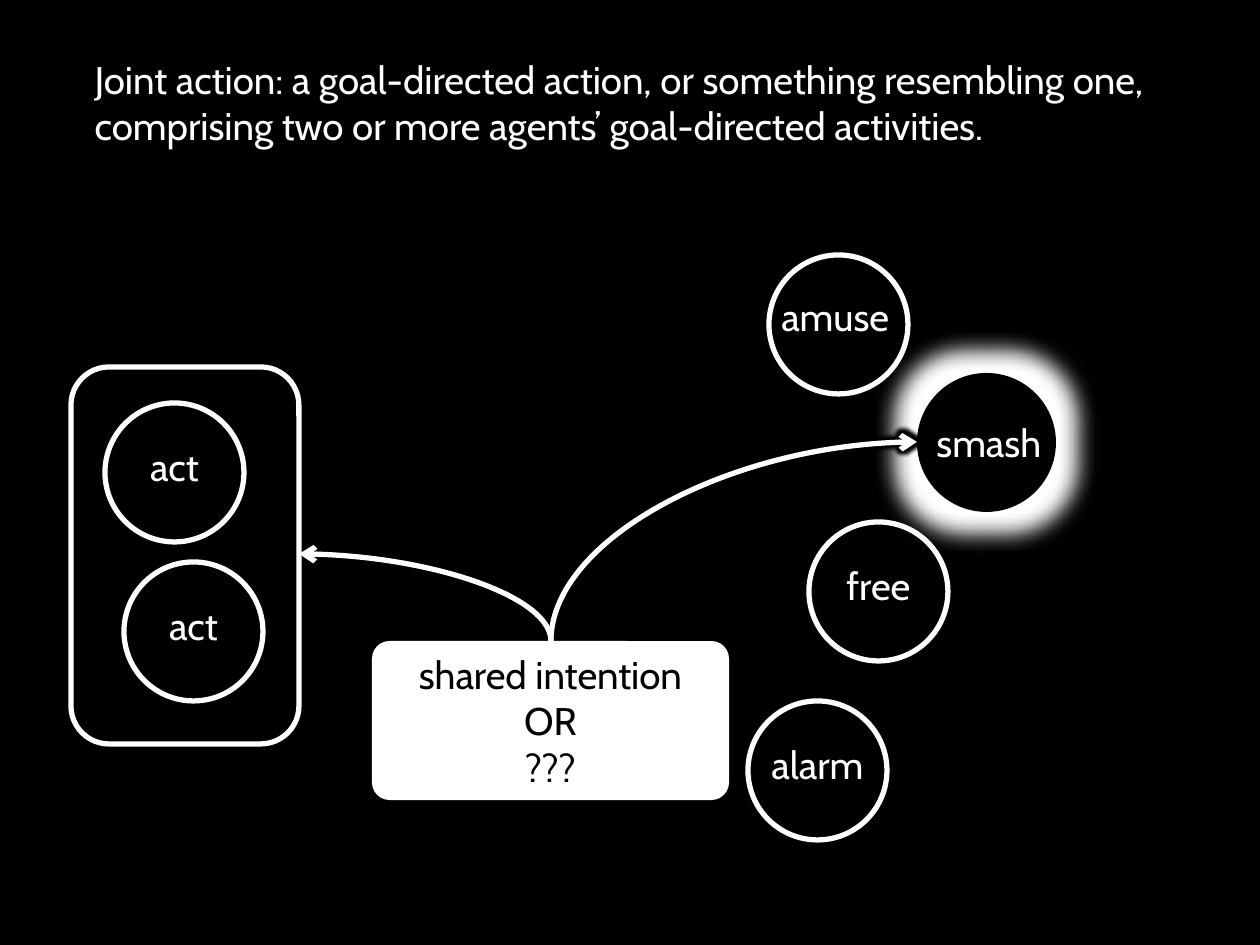
"""Build a slide on joint action: two acts, a shared intention and its possible goals."""
from lxml import etree
from pptx import Presentation
from pptx import util as u
from pptx.dml.color import RGBColor
from pptx.enum import shapes, text
from pptx.oxml import ns

BLACK = RGBColor(0, 0, 0)
WHITE = RGBColor(255, 255, 255)
EMU_PER_PX = 914400 / 126


def px(length):
    """Turn pixels into EMU."""
    return u.Emu(round(length * EMU_PER_PX))


class Sketch:
    """Hold the style and the current page."""

    font = "Cabin"
    size = u.Pt(22)
    stroke = u.Pt(3)
    diameter = 139

    def __init__(self, deck):
        """Start a black page with a title."""
        self.page = deck.slides.add_slide(deck.slide_layouts[5])
        self.page.background.fill.solid()
        self.page.background.fill.fore_color.rgb = BLACK

    def add_lines(self, box, lines, color=WHITE, align=text.PP_ALIGN.CENTER, spacing=None):
        """Add one paragraph for each line."""
        frame = box.text_frame
        for number, line in enumerate(lines):
            para = frame.add_paragraph() if number else frame.paragraphs[0]
            para.alignment = align
            if spacing:
                para.line_spacing = spacing
            span = para.add_run()
            span.text = line
            span.font.name = self.font
            span.font.size = self.size
            span.font.color.rgb = color

    def title(self, left, top, width, height, words):
        """Place and fill the title."""
        box = self.page.shapes.title
        box.left, box.top, box.width, box.height = map(px, (left, top, width, height))
        box.text_frame.word_wrap = True
        box.text_frame.auto_size = text.MSO_AUTO_SIZE.NONE
        box.text_frame.vertical_anchor = text.MSO_ANCHOR.TOP
        self.add_lines(box, [words], align=text.PP_ALIGN.LEFT)

    def label(self, left, top, width, height, words):
        """Add a single unwrapped line of text."""
        box = self.page.shapes.add_textbox(*map(px, (left, top, width, height)))
        box.text_frame.word_wrap = False
        self.add_lines(box, [words], align=text.PP_ALIGN.LEFT)

    def shape(self, kind, left, top, width, height, fill=None, outlined=True):
        """Add a preset shape without shadow."""
        box = self.page.shapes.add_shape(kind, *map(px, (left, top, width, height)))
        box.shadow.inherit = False
        if fill is None:
            box.fill.background()
        else:
            box.fill.solid()
            box.fill.fore_color.rgb = fill
        if outlined:
            box.line.color.rgb = WHITE
            box.line.width = self.stroke
        else:
            box.line.fill.background()
        return box

    def panel(self, left, top, width, height, fill, outlined, lines=(), corner=None):
        """Add a rounded rectangle."""
        kind = shapes.MSO_SHAPE.ROUNDED_RECTANGLE
        box = self.shape(kind, left, top, width, height, fill, outlined)
        if corner is not None:
            box.adjustments[0] = corner
        self.add_lines(box, lines, BLACK)

    def circle(self, left, top, words="", side_inset=None, fill=None, outlined=True):
        """Add a circle, with a word if one is given."""
        box = self.shape(shapes.MSO_SHAPE.OVAL, left, top, self.diameter,
                         self.diameter, fill, outlined)
        if words:
            frame = box.text_frame
            frame.vertical_anchor = text.MSO_ANCHOR.TOP
            if side_inset is not None:
                frame.margin_left = frame.margin_right = px(side_inset)
            self.add_lines(box, [words], spacing=u.Pt(34))
        return box

    def glow(self, box, color, radius):
        """Surround a shape or connector with a glow."""
        effects = box._element.spPr.find(ns.qn("a:effectLst"))
        halo = etree.SubElement(effects, ns.qn("a:glow"), rad=str(px(radius)))
        etree.SubElement(halo, ns.qn("a:srgbClr"), val=str(color))

    def arc(self, start, end):
        """Add a curved arrow that leaves upwards and arrives sideways."""
        across, rise = end[0] - start[0], start[1] - end[1]
        middle_x, middle_y = (start[0] + end[0]) / 2, (start[1] + end[1]) / 2
        side = 1 if across > 0 else -1
        half_width, half_height = side * rise / 2, abs(across) / 2
        line = self.page.shapes.add_connector(
            shapes.MSO_CONNECTOR.CURVE,
            px(middle_x + half_width), px(middle_y + half_height),
            px(middle_x - half_width), px(middle_y - half_height))
        line.line.color.rgb = WHITE
        line.line.width = self.stroke
        properties = line._element.spPr
        properties.find(ns.qn("a:prstGeom")).set("prst", "curvedConnector2")
        quarter_turn = 90 if across > 0 else 270
        properties.find(ns.qn("a:xfrm")).set("rot", str(quarter_turn * 60000))
        etree.SubElement(properties.find(ns.qn("a:ln")), ns.qn("a:tailEnd"), type="arrow")
        etree.SubElement(properties, ns.qn("a:effectLst"))
        return line


def main():
    """Draw the slide and save it."""
    deck = Presentation()
    deck.slide_width, deck.slide_height = px(1260), px(945)
    sketch = Sketch(deck)
    sketch.title(82, 50, 1075, 106,
                 "Joint action: a goal-directed action, or something resembling one, "
                 "comprising two or more agents’ goal-directed activities.")
    sketch.panel(71, 367, 228, 377, BLACK, True)
    sketch.circle(105, 403, "act")
    chosen_goal = sketch.circle(917, 373, fill=BLACK, outlined=False)
    sketch.glow(chosen_goal, WHITE, 44)
    sketch.circle(124, 562, "act")
    sketch.label(924, 413, 132, 59, "smash")
    sketch.circle(769, 255)
    sketch.circle(809, 522, "free")
    sketch.circle(748, 701, "alarm", side_inset=0)
    sketch.label(769, 287, 136, 59, "amuse")
    intention_top = (551, 641)
    goal_arrow = sketch.arc(intention_top, (917, 442))
    sketch.glow(goal_arrow, BLACK, 8)
    sketch.panel(372, 641, 357, 159, WHITE, False,
                 ["shared intention", "OR", "???"], corner=0.11)
    sketch.arc(intention_top, (299, 554))
    deck.save("out.pptx")


if __name__ == "__main__":
    main()
